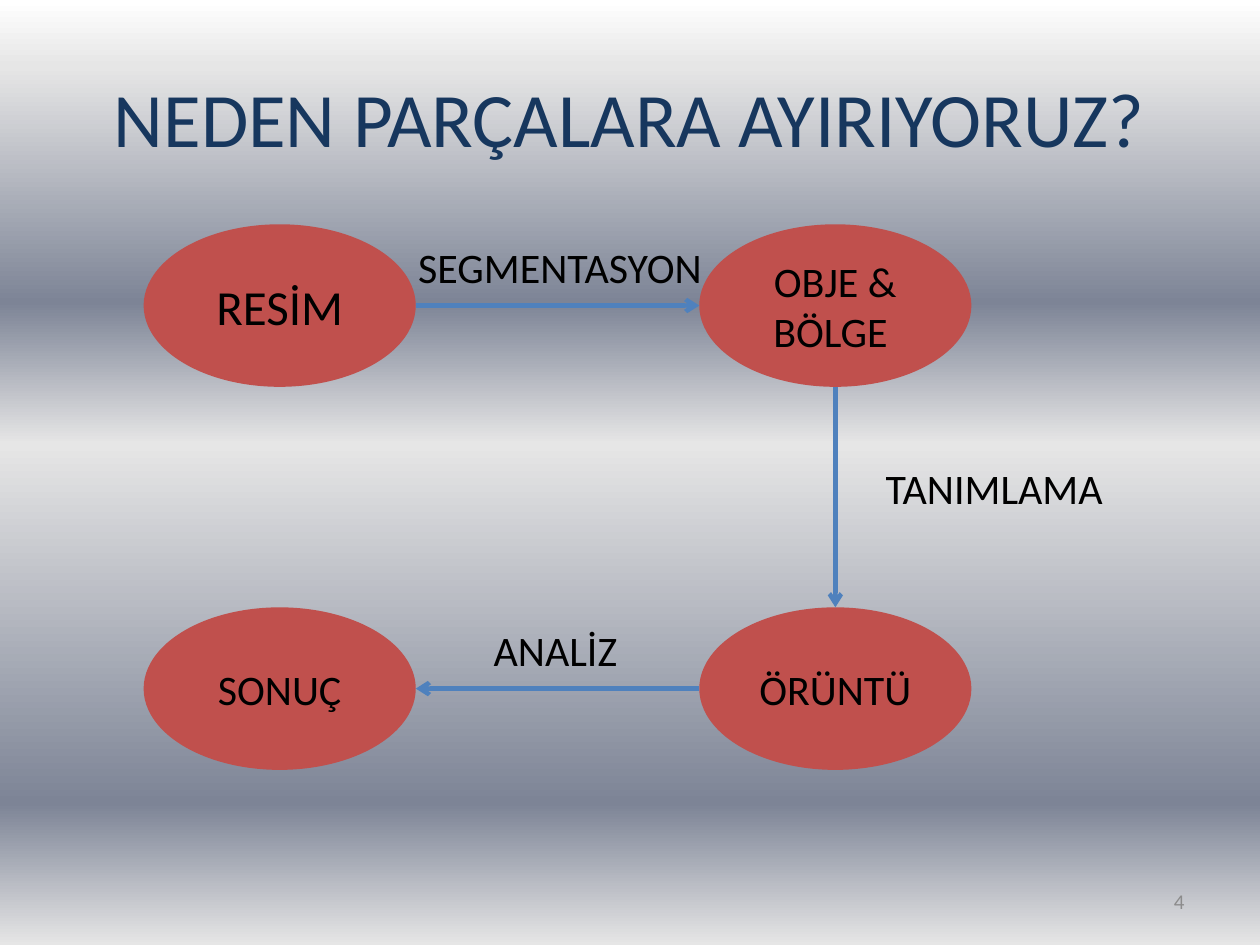
from pptx import Presentation
from pptx.dml.color import RGBColor
from pptx.enum.shapes import MSO_CONNECTOR, MSO_SHAPE
from pptx.enum.text import MSO_ANCHOR, MSO_AUTO_SIZE, PP_ALIGN
from pptx.oxml.ns import qn
from pptx.util import Inches, Pt
from lxml.etree import SubElement

NAVY = RGBColor(0x17, 0x37, 0x5E)
RED = RGBColor(0xC0, 0x50, 0x4D)
BLUE = RGBColor(0x4F, 0x81, 0xBD)
BLACK = RGBColor(0, 0, 0)
GREY = RGBColor(0x8C, 0x8C, 0x8C)
BACKGROUND_STOPS = [(0, "FFFFFF"), (7, "E6E6E6"), (32, "7D8496"),
                    (47, "E6E6E6"), (85, "7D8496"), (100, "E6E6E6")]

FONT = "Calibri"
COLS = (1.14, 5.55)
ROWS = (1.78, 4.82)
NODE_W, NODE_H = 2.16, 1.29

# text, column, row, text size
NODES = [("RESİM", 0, 0, 28), ("OBJE & BÖLGE ", 1, 0, 24),
         ("ÖRÜNTÜ", 1, 1, 24), ("SONUÇ", 0, 1, 24)]
# text, left, top, width
LABELS = [("SEGMENTASYON", 3.22, 1.87, 2.59),
          ("TANIMLAMA", 6.93, 3.62, 2.16),
          ("ANALİZ", 3.82, 4.91, 1.73)]


def box(left, top, width, height):
    return [Inches(v) for v in (left, top, width, height)]


def set_text(sp, text, size, color, align, anchor=MSO_ANCHOR.MIDDLE):
    tf = sp.text_frame
    tf.text = text
    tf.word_wrap = True
    tf.vertical_anchor = anchor
    p = tf.paragraphs[0]
    p.alignment = align
    font = p.runs[0].font
    font.name, font.size = FONT, Pt(size)
    font.color.rgb = color


def paint_background(slide):
    fill = slide.background.fill
    fill.gradient()
    fill.gradient_angle = 270
    stops = slide.background._cSld.find(".//" + qn("a:gsLst"))
    for gs in list(stops):
        stops.remove(gs)
    for percent, color in BACKGROUND_STOPS:
        gs = SubElement(stops, qn("a:gs"), pos=str(percent * 1000))
        SubElement(gs, qn("a:srgbClr"), val=color)


def add_title(slide, text):
    sp = slide.shapes.title
    sp.left, sp.top, sp.width, sp.height = box(0.5, 0.3, 9, 1.25)
    set_text(sp, text, 44, NAVY, PP_ALIGN.CENTER)


def add_node(slide, text, col, row, size):
    sp = slide.shapes.add_shape(
        MSO_SHAPE.OVAL, *box(COLS[col], ROWS[row], NODE_W, NODE_H))
    sp.shadow.inherit = False
    sp.fill.solid()
    sp.fill.fore_color.rgb = RED
    sp.line.fill.background()
    set_text(sp, text, size, BLACK, PP_ALIGN.CENTER)


def add_arrow(slide, x1, y1, x2, y2):
    line = slide.shapes.add_connector(
        MSO_CONNECTOR.STRAIGHT, *box(x1, y1, x2, y2))
    line.line.color.rgb = BLUE
    line.line.width = Pt(2.5)
    SubElement(line.line._get_or_add_ln(), qn("a:tailEnd"), type="arrow")
    SubElement(line._element.spPr, qn("a:effectLst"))


def add_flow_arrows(slide):
    left_edge, right_edge = COLS[0] + NODE_W, COLS[1]
    top_mid, bottom_mid = (row + NODE_H / 2 for row in ROWS)
    center = COLS[1] + NODE_W / 2
    add_arrow(slide, left_edge, top_mid, right_edge, top_mid)
    add_arrow(slide, center, ROWS[0] + NODE_H, center, ROWS[1])
    add_arrow(slide, right_edge, bottom_mid, left_edge, bottom_mid)


def add_label(slide, text, left, top, width):
    sp = slide.shapes.add_textbox(*box(left, top, width, 0.5))
    set_text(sp, text, 24, BLACK, PP_ALIGN.LEFT, MSO_ANCHOR.TOP)
    sp.text_frame.auto_size = MSO_AUTO_SIZE.SHAPE_TO_FIT_TEXT


def add_page_number(slide, number):
    sp = slide.shapes.add_textbox(*box(7.17, 6.95, 2.33, 0.4))
    set_text(sp, str(number), 12, GREY, PP_ALIGN.RIGHT)


def main():
    prs = Presentation()
    prs.slide_width, prs.slide_height = Inches(10), Inches(7.5)
    slide = prs.slides.add_slide(prs.slide_layouts[5])
    paint_background(slide)
    add_title(slide, "NEDEN PARÇALARA AYIRIYORUZ?")
    for node in NODES:
        add_node(slide, *node)
    add_flow_arrows(slide)
    for label in LABELS:
        add_label(slide, *label)
    add_page_number(slide, 4)
    prs.save("out.pptx")


if __name__ == "__main__":
    main()
